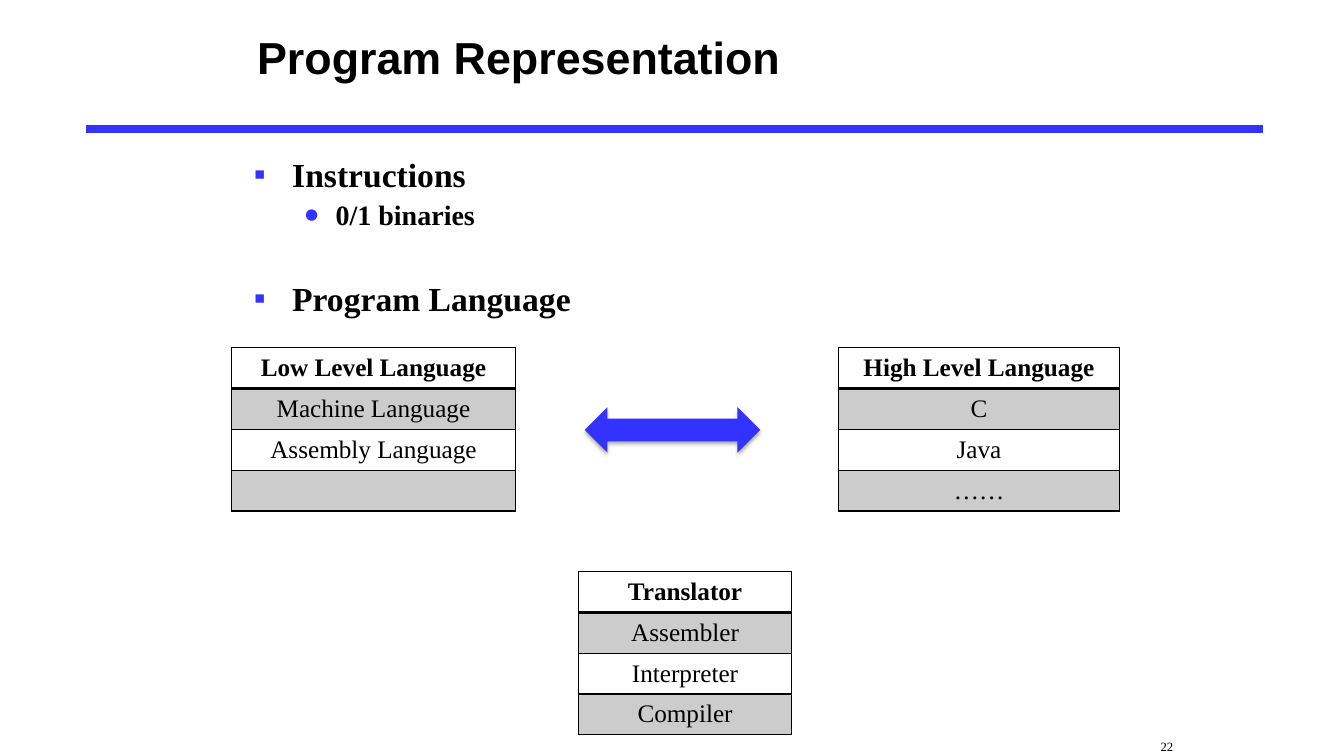
"""Build the slide on program representation: bullets, three language tables and an arrow."""
from lxml.etree import SubElement
from pptx import Presentation
from pptx.dml.color import RGBColor
from pptx.enum.shapes import MSO_CONNECTOR as LINE, MSO_SHAPE as SHAPE
from pptx.enum.text import MSO_ANCHOR as ANCHOR, PP_ALIGN as ALIGN
from pptx.oxml import parse_xml
from pptx.oxml.ns import nsdecls, qn
from pptx.util import Inches, Pt

BLACK = RGBColor(0, 0, 0)
GRAY = RGBColor(0xCC, 0xCC, 0xCC)
BLUE = RGBColor(0x33, 0x33, 0xFF)
SERIF = "Times New Roman"
W, H = 13.33, 7.5
ROW = 0.405

TITLE = "Program Representation"
PAGE = "22"
BULLETS = [
    {"text": "Instructions", "size": 24, "left": 0.38, "hang": 0.38, "before": 0, "mark": "▪", "scale": 100},
    {"text": "0/1 binaries", "size": 20, "left": 0.81, "hang": 0.31, "before": 5, "mark": "•", "scale": 150},
    {"text": "Program Language", "size": 24, "left": 0.38, "hang": 0.38, "before": 36, "mark": "▪", "scale": 100},
]
TABLES = [
    (2.3, 3.45, 2.81, ["Low Level Language", "Machine Language", "Assembly Language", ""]),
    (8.32, 3.45, 2.78, ["High Level Language", "C", "Java", "……"]),
    (5.74, 5.67, 2.11, ["Translator", "Assembler", "Interpreter", "Compiler"]),
]


def box(*lengths):
    return [Inches(n) for n in lengths]


def assign(obj, **values):
    for name, value in values.items():
        setattr(obj, name, value)


def write(p, text, size, bold=False, name=SERIF):
    r = p.add_run()
    r.text = text
    assign(r.font, size=Pt(size), bold=bold, name=name)
    r.font.color.rgb = BLACK


def add_text(slide, *at):
    tf = slide.shapes.add_textbox(*box(*at)).text_frame
    tf.word_wrap = True
    return tf


def add_bullet(p, item):
    pPr = p._p.get_or_add_pPr()
    pPr.set("marL", str(Inches(item["left"])))
    pPr.set("indent", str(-Inches(item["hang"])))
    assign(p, line_spacing=0.9, space_before=Pt(item["before"]))
    color = SubElement(pPr, qn("a:buClr"))
    SubElement(color, qn("a:srgbClr"), val=str(BLUE))
    SubElement(pPr, qn("a:buSzPct"), val=str(item["scale"] * 1000))
    SubElement(pPr, qn("a:buFont"), typeface="Arial")
    SubElement(pPr, qn("a:buChar"), char=item["mark"])
    write(p, item["text"], item["size"], True)


def add_borders(cell, row):
    widths = {"lnL": 1, "lnR": 1, "lnT": 2 if row == 1 else 1, "lnB": 2 if row == 0 else 1}
    for tag, width in widths.items():
        ln = SubElement(cell._tc.get_or_add_tcPr(), qn("a:" + tag), w=str(Pt(width)))
        fill = SubElement(ln, qn("a:solidFill"))
        SubElement(fill, qn("a:srgbClr"), val=str(BLACK))


def add_language_table(slide, left, top, width, rows):
    frame = slide.shapes.add_table(len(rows), 1, *box(left, top, width, ROW * len(rows)))
    table = frame.table
    assign(table, first_row=False, horz_banding=False)
    for i, text in enumerate(rows):
        table.rows[i].height = Inches(ROW)
        cell = table.cell(i, 0)
        add_borders(cell, i)
        if i % 2:
            cell.fill.solid()
            cell.fill.fore_color.rgb = GRAY
        else:
            cell.fill.background()
        cell.vertical_anchor = ANCHOR.MIDDLE
        p = cell.text_frame.paragraphs[0]
        p.alignment = ALIGN.CENTER
        if text:
            write(p, text, 18, i == 0)


def add_arrow(slide):
    s = slide.shapes.add_shape(SHAPE.LEFT_RIGHT_ARROW, *box(5.8, 4.04, 1.74, 0.45))
    s.shadow.inherit = False
    s.fill.solid()
    s.fill.fore_color.rgb = BLUE
    s.line.fill.background()
    s._element.spPr.find(qn("a:effectLst")).append(parse_xml(
        f'<a:outerShdw {nsdecls("a")} blurRad="{Pt(3.1)}" dist="{Pt(1.8)}" dir="5400000" '
        'rotWithShape="0"><a:srgbClr val="000000"><a:alpha val="35000"/></a:srgbClr></a:outerShdw>'))


def main():
    prs = Presentation()
    assign(prs, slide_width=Inches(W), slide_height=Inches(H))
    slide = prs.slides.add_slide(prs.slide_layouts[5])

    rule = slide.shapes.add_connector(LINE.STRAIGHT, *box(0.85, 1.28, 12.53, 1.28))
    rule.line.color.rgb = BLUE
    rule.line.width = Pt(6)
    SubElement(rule._element.spPr, qn("a:effectLst"))

    title = slide.shapes.title
    left, top, width, height = box(2.45, 0, 8.69, 1.12)
    assign(title, left=left, top=top, width=width, height=height)
    title.text_frame.vertical_anchor = ANCHOR.MIDDLE
    p = title.text_frame.paragraphs[0]
    p.alignment = ALIGN.LEFT
    write(p, TITLE, 32, True, "Arial")

    tf = add_text(slide, 2.42, 1.52, 8.5, 5.5)
    for i, item in enumerate(BULLETS):
        add_bullet(tf.add_paragraph() if i else tf.paragraphs[0], item)

    for table in TABLES:
        add_language_table(slide, *table)
    add_arrow(slide)

    tf = add_text(slide, 10.54, 7.12, W - 10.54, H - 7.12)
    assign(tf, vertical_anchor=ANCHOR.BOTTOM, margin_left=Inches(0.97), margin_bottom=Inches(0.02))
    write(tf.paragraphs[0], PAGE, 9)
    prs.save("out.pptx")


if __name__ == "__main__":
    main()
